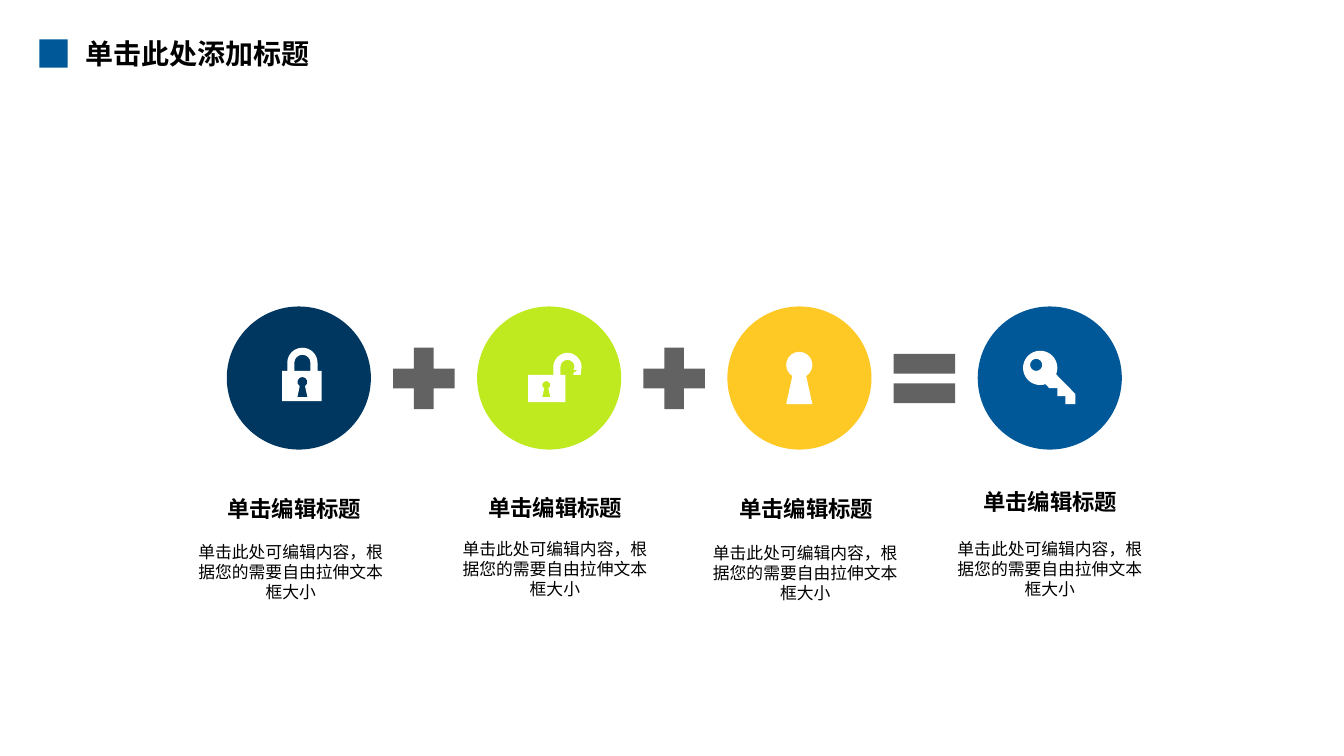
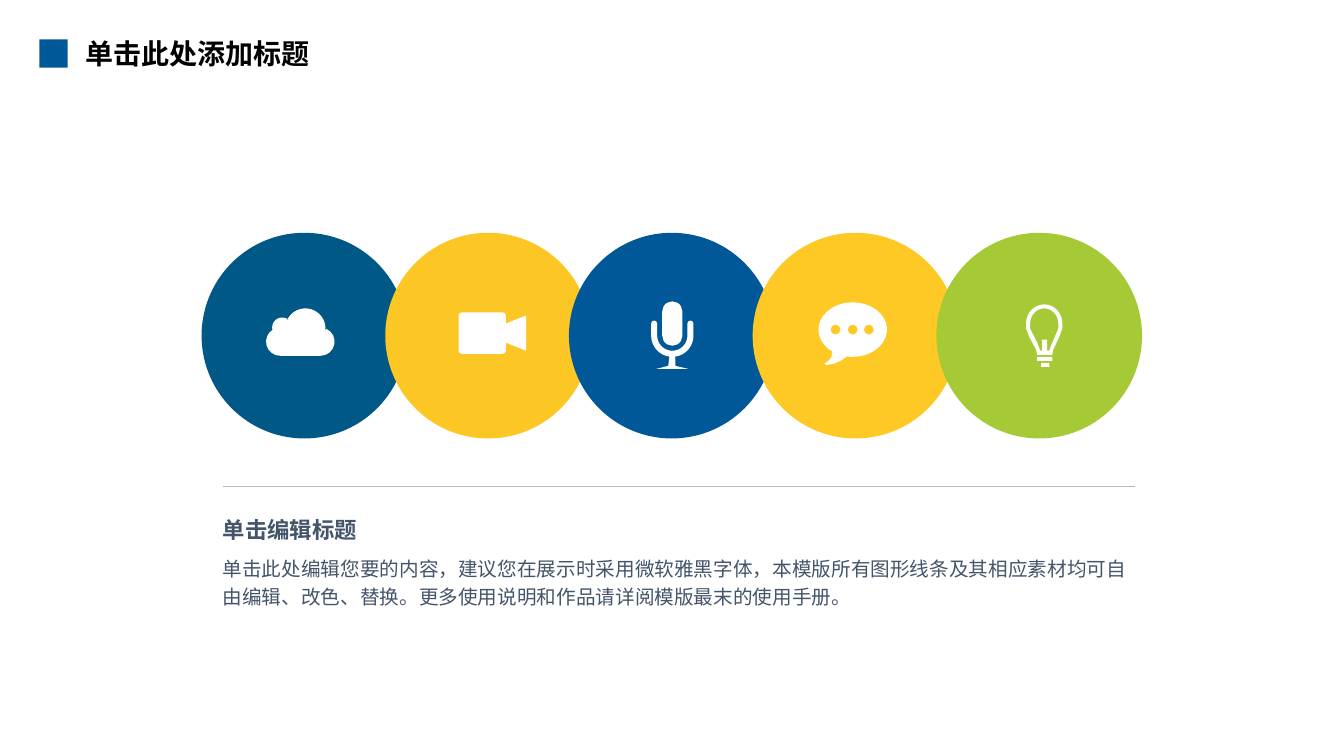
import math
import pptx
import pptx.util
import pptx.dml.color
import pptx.enum.shapes
import pptx.enum.text
import pptx.oxml.ns
from lxml import etree

Inches = pptx.util.Inches
Color = pptx.dml.color.RGBColor
Kind = pptx.enum.shapes.MSO_SHAPE
Align = pptx.enum.text.PP_ALIGN
qn = pptx.oxml.ns.qn

BLUE = Color(0x00, 0x58, 0x98)
NAVY = Color(0x00, 0x37, 0x60)
TEAL = Color(0x00, 0x58, 0x86)
LIME = Color(0xBF, 0xEA, 0x1F)
GREEN = Color(0xA5, 0xCA, 0x36)
GOLD = Color(0xFE, 0xC9, 0x25)
AMBER = Color(0xFC, 0xC7, 0x25)
GRAY = Color(0x62, 0x62, 0x62)
SLATE = Color(0x44, 0x54, 0x69)
RULE = Color(0xAD, 0xBA, 0xCA)
BLACK = Color(0, 0, 0)
WHITE = Color(255, 255, 255)
NOTO = "Noto Sans CJK SC"
HEAD = "单击编辑标题"


def arc(x, y, wide, start, end, tall=None):
    tall = tall or wide
    count = math.ceil(abs(end - start) / 90)
    turn = math.radians(end - start) / count
    pull = 4 / 3 * math.tan(turn / 4)

    def spot(angle, lean=0):
        return (x + wide * (math.cos(angle) - lean * math.sin(angle)),
                y + tall * (math.sin(angle) + lean * math.cos(angle)))

    marks = [math.radians(start) + i * turn for i in range(count + 1)]
    return [spot(marks[0])] + [
        spot(a, pull) + spot(b, -pull) + spot(b) for a, b in zip(marks, marks[1:])]


def ring(x, y, size):
    return arc(x, y, size, 0, 360)


def keyhole(x, y, size):
    return arc(x, y, size, 122, 418) + [(x + size, y + 3 * size), (x - size, y + 3 * size)]


class Deck:
    def __init__(self):
        self.show = pptx.Presentation()
        self.show.slide_width = Inches(40 / 3)
        self.show.slide_height = Inches(7.5)
        self.slide = None

    def page(self, title):
        self.slide = self.show.slides.add_slide(self.show.slide_layouts[6])
        self.shape(Kind.RECTANGLE, 0.39, 0.39, 0.28, 0.28, BLUE)
        self.text(title, 0.85, 0.36, 2.71, 0.34, size=20, bold=True, font=NOTO)

    def paint(self, shape, color):
        shape.shadow.inherit = False
        shape.fill.solid()
        shape.fill.fore_color.rgb = color
        shape.line.fill.background()

    def shape(self, kind, x, y, wide, tall, color, bend=None):
        shape = self.slide.shapes.add_shape(kind, *map(Inches, (x, y, wide, tall)))
        if bend is not None:
            shape.adjustments[0] = bend
        self.paint(shape, color)

    def icon(self, *loops):
        pen = None
        for first, *steps in loops:
            start = [Inches(v) for v in first]
            if pen:
                pen.move_to(*start)
            else:
                pen = self.slide.shapes.build_freeform(*start)
            pen.add_line_segments([(Inches(step[i]), Inches(step[i + 1]))
                                   for step in steps for i in range(0, len(step), 2)])
        shape = pen.convert_to_shape()
        self.paint(shape, WHITE)
        self.curve(shape, [len(step) // 2 for loop in loops for step in loop[1:]])

    def curve(self, shape, sizes):
        nodes = iter(list(shape._element.iter(qn("a:lnTo"))))
        for size in sizes:
            group = [next(nodes) for _ in range(size)]
            if size == 3:
                bend = etree.Element(qn("a:cubicBezTo"))
                group[0].addprevious(bend)
                for node in group:
                    bend.append(node[0])
                    node.getparent().remove(node)

    def line(self, x, y, end, color, width):
        line = self.slide.shapes.add_connector(
            pptx.enum.shapes.MSO_CONNECTOR.STRAIGHT, Inches(x), Inches(y), Inches(end), Inches(y))
        line.line.color.rgb = color
        line.line.width = pptx.util.Pt(width)
        etree.SubElement(line._element.spPr, qn("a:effectLst"))

    def text(self, words, x, y, wide, tall, size=12, bold=False, font="Arial",
             color=BLACK, align=Align.LEFT, space=None):
        frame = self.slide.shapes.add_textbox(*map(Inches, (x, y, wide, tall))).text_frame
        frame.word_wrap = True
        frame.margin_left = frame.margin_right = frame.margin_top = frame.margin_bottom = 0
        para = frame.paragraphs[0]
        para.alignment = align
        if space:
            para.line_spacing = space
        run = para.add_run()
        run.text = words
        run.font.size = pptx.util.Pt(size)
        run.font.bold = bold
        run.font.name = font
        run.font.color.rgb = color
        east = etree.SubElement(run.font._element, qn("a:ea"))
        east.set("typeface", NOTO)


def locks(deck):
    deck.page("单击此处添加标题")
    step = 7.45 / 3
    for i, color in enumerate((NAVY, LIME, GOLD, BLUE)):
        deck.shape(Kind.OVAL, 2.25 + i * step, 3.04, 1.43, 1.42, color)
    for i, kind in enumerate((Kind.MATH_PLUS, Kind.MATH_PLUS, Kind.MATH_EQUAL)):
        deck.shape(kind, 3.79 + i * step, 3.34, 0.83, 0.83, GRAY)

    deck.icon(
        [(2.8, 3.68), (2.85, 3.68), *arc(3, 3.6, 0.15, 180, 360),
         (3.15, 3.68), (3.19, 3.68), (3.19, 3.98), (2.8, 3.98)],
        [(2.92, 3.68), *arc(3, 3.6, 0.08, 180, 360), (3.08, 3.68)],
        keyhole(3, 3.79, 0.05))
    deck.icon(
        [(5.24, 3.72), (5.49, 3.72), *arc(5.63, 3.64, 0.14, 180, 360),
         (5.76, 3.72), (5.69, 3.72), (5.69, 3.7), (5.72, 3.68), (5.72, 3.67), (5.69, 3.67),
         *arc(5.63, 3.64, 0.07, 360, 180), (5.56, 3.72), (5.61, 3.72),
         (5.61, 3.99), (5.24, 3.99)],
        keyhole(5.42, 3.82, 0.04))
    deck.icon(keyhole(7.93, 3.62, 0.13))
    deck.icon(
        [*arc(10.32, 3.65, 0.17, 72, 382), (10.67, 3.91), (10.67, 4.01), (10.57, 4.01),
         (10.57, 3.93), (10.49, 3.93), (10.49, 3.85), (10.41, 3.85)],
        ring(10.28, 3.62, 0.06))

    body = "单击此处可编辑内容，根据您的需要自由拉伸文本框大小"
    spots = ((1.64, 4.91, 1.9, 5.37, 1.97), (4.23, 4.9, 4.53, 5.34, 1.95),
             (6.72, 4.91, 7.01, 5.38, 1.96), (9.14, 4.84, 9.47, 5.34, 1.89))
    for left, top, x, y, wide in spots:
        deck.text(HEAD, left, top, 2.56, 0.27, size=16, bold=True, align=Align.CENTER)
        deck.text(body, x, y, wide, 0.61, align=Align.CENTER)


def media(deck):
    deck.page("单击此处添加标题")
    for i, color in enumerate((TEAL, AMBER, BLUE, GOLD, GREEN)):
        deck.shape(Kind.OVAL, 2 + i * 7.29 / 4, 2.31, 2.04, 2.04, color)

    deck.icon(
        arc(6.49, 3.21, 0.03, 180, 360) + arc(6.67, 3.33, 0.15, 180, 0)
        + arc(6.85, 3.21, 0.03, 180, 360) + arc(6.67, 3.33, 0.21, 0, 82)
        + [(6.7, 3.63), (6.83, 3.66), (6.51, 3.66), (6.63, 3.63)]
        + arc(6.67, 3.33, 0.21, 98, 180))
    deck.shape(Kind.ROUNDED_RECTANGLE, 6.57, 2.99, 0.2, 0.44, WHITE, bend=0.5)

    deck.icon(
        arc(2.78, 3.39, 0.14, 90, 240) + arc(2.8, 3.25, 0.1, 160, 315)
        + arc(3.03, 3.26, 0.2, 205, 365) + arc(3.18, 3.39, 0.14, -65, 90))

    deck.icon(
        arc(8.46, 3.27, 0.34, 127, 460, tall=0.27)
        + [(8.34, 3.58), (8.27, 3.61), (8.2, 3.62), (8.18, 3.61), (8.22, 3.58), (8.25, 3.54)],
        *(ring(x, 3.27, 0.05) for x in (8.29, 8.46, 8.62)))

    deck.icon(
        arc(4.99, 3.13, 0.03, 0, -90) + arc(4.58, 3.13, 0.03, -90, -180)
        + arc(4.58, 3.48, 0.03, 180, 90) + arc(4.99, 3.48, 0.03, 90, 0)
        + [(5.02, 3.4), (5.22, 3.48), (5.22, 3.13), (5.02, 3.21)])

    deck.icon(
        [*arc(10.36, 3.21, 0.18, 180, 360, tall=0.19), (10.54, 3.26), (10.51, 3.34),
         (10.45, 3.47), (10.44, 3.52), (10.29, 3.52), (10.28, 3.47), (10.21, 3.34),
         (10.18, 3.26)],
        [*arc(10.36, 3.21, 0.14, 180, 360, tall=0.15), (10.5, 3.26), (10.44, 3.4),
         (10.41, 3.48), (10.39, 3.48), (10.39, 3.37), (10.34, 3.37), (10.34, 3.48),
         (10.32, 3.48), (10.29, 3.4), (10.22, 3.26)])
    deck.shape(Kind.RECTANGLE, 10.29, 3.54, 0.15, 0.04, WHITE)
    deck.shape(Kind.RECTANGLE, 10.33, 3.6, 0.08, 0.04, WHITE)

    deck.line(2.21, 4.83, 11.26, RULE, 0.5)
    deck.text("单击此处编辑您要的内容，建议您在展示时采用微软雅黑字体，本模版所有图形线条及其相应素材"
              "均可自由编辑、改色、替换。更多使用说明和作品请详阅模版最末的使用手册。",
              2.21, 5.48, 9.12, 0.54, size=14, font=NOTO, color=SLATE, space=1.2)
    deck.text(HEAD, 2.21, 5.12, 3.01, 0.27, size=16, bold=True, color=SLATE)


def main():
    deck = Deck()
    locks(deck)
    media(deck)
    deck.show.save("out.pptx")


if __name__ == "__main__":
    main()
